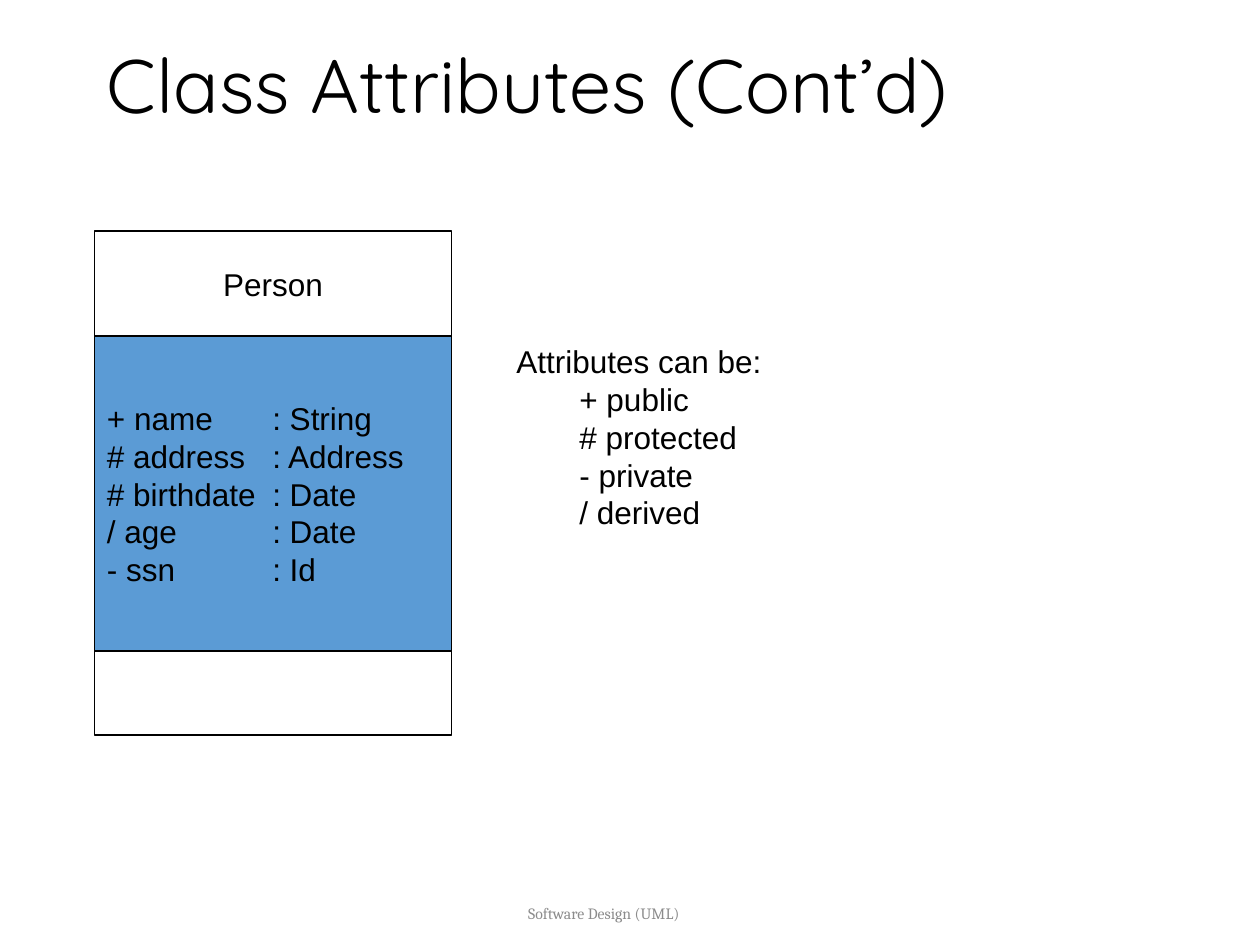
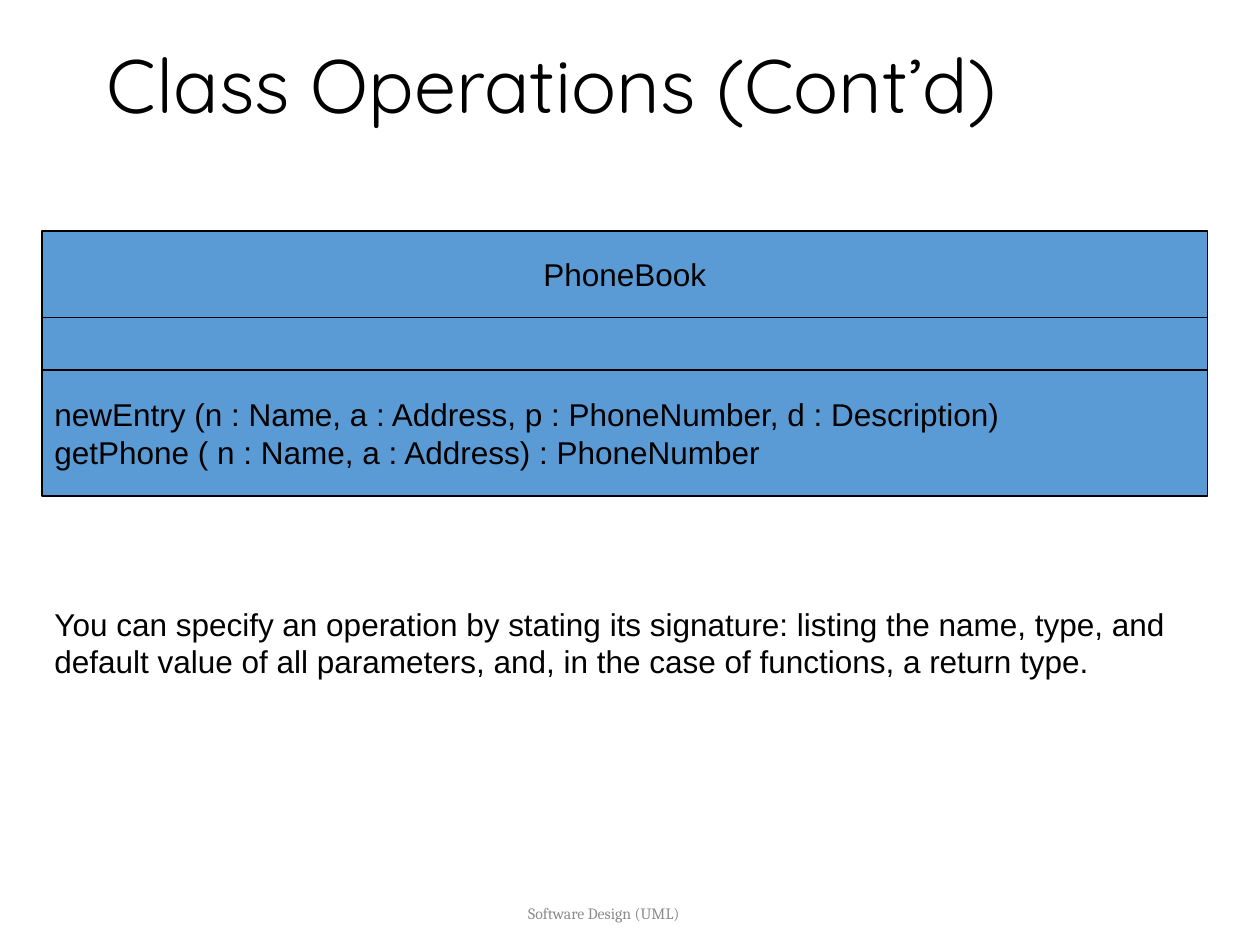
from lxml import etree
from pptx import Presentation, util as u
from pptx.dml.color import RGBColor
from pptx.enum import shapes, text
from pptx.oxml.ns import qn

Pt = u.Pt

# Content: class boxes list (height, fill, align, lines) from top to bottom
FOOTER = "Software Design (UML)"
SLIDES = [
    {
        "title": "Class Attributes (Cont’d)",
        "class": {
            "left": 54, "width": 204,
            "rows": [
                (60, "white", "center", ["Person"]),
                (180, "blue", "left", [
                    "+ name\t: String",
                    "# address\t: Address",
                    "# birthdate\t: Date",
                    "/ age\t: Date",
                    "- ssn\t: Id",
                ]),
                (48, "white", "left", []),
            ],
        },
        "note": {
            "box": (288, 192, 194, 151),
            "lines": ["Attributes can be:", "+ public", "# protected",
                      "- private", "/ derived"],
        },
    },
    {
        "title": "Class Operations (Cont’d)",
        "class": {
            "left": 24, "width": 666,
            "rows": [
                (49.5, "blue", "center", ["PhoneBook"]),
                (30, "blue", "left", []),
                (72, "blue", "left", [
                    "newEntry (n : Name, a : Address, p : PhoneNumber, "
                    "d : Description)",
                    "getPhone ( n : Name, a : Address) : PhoneNumber",
                ]),
            ],
        },
        "note": {
            "box": (24, 342, 660, 94),
            "lines": [
                "You can specify an operation by stating its signature: "
                "listing the name, type, and default value of all parameters, "
                "and, in the case of functions, a return type.",
            ],
        },
    },
]

# Shared look and places
THEME = {
    "color": {"white": "FFFFFF", "blue": "5B9BD5", "black": "000000",
              "gray": "8C8C8C"},
    "title": ("Quicksand", 43.2, "black"),
    "body": ("Arial", 18, "black"),
    "footer": ("Cambria", 9, "gray"),
    "line": 0.75,
}
TITLE_BOX = (54, 30, 618, 42)
FOOT_BOX = (186, 504, 318, 36)
CLASS_TOP = 132
TYPE_TAB = 94.5
INDENT = 36
ALIGN = {"left": text.PP_ALIGN.LEFT, "center": text.PP_ALIGN.CENTER}
MIDDLE = text.MSO_ANCHOR.MIDDLE


def color(name):
    return RGBColor.from_string(THEME["color"][name])


def write(shape, lines, style, align="left", anchor=MIDDLE):
    """Fill a shape with one paragraph a line, all in one style."""
    face, size, ink = THEME[style]
    frame = shape.text_frame
    frame.word_wrap = True
    frame.vertical_anchor = anchor
    frame.text = "\n".join(lines)
    for para in frame.paragraphs:
        para.alignment = ALIGN[align]
        for run in para.runs:
            run.font.name = face
            run.font.size = Pt(size)
            run.font.color.rgb = color(ink)
    return frame.paragraphs


def add_text(slide, box, *args, **opts):
    return write(slide.shapes.add_textbox(*map(Pt, box)), *args, **opts)


def add_tab(para, stop):
    tabs = etree.SubElement(para._p.get_or_add_pPr(), qn("a:tabLst"))
    etree.SubElement(tabs, qn("a:tab"), pos=str(Pt(stop)), algn="l")


def add_class(slide, left, width, rows):
    """Stack the parts of a class box."""
    top = CLASS_TOP
    for height, fill, align, lines in rows:
        part = slide.shapes.add_shape(
            shapes.MSO_SHAPE.RECTANGLE, *map(Pt, (left, top, width, height)))
        part.shadow.inherit = False
        part.fill.solid()
        part.fill.fore_color.rgb = color(fill)
        part.line.color.rgb = color("black")
        part.line.width = Pt(THEME["line"])
        for para in write(part, lines, "body", align):
            if "\t" in para.text:
                add_tab(para, TYPE_TAB)
        top += height


def add_note(slide, box, lines):
    """Place a note; lines after the first are indented."""
    paras = add_text(slide, box, lines, "body", anchor=text.MSO_ANCHOR.TOP)
    for para in paras[1:]:
        para._p.get_or_add_pPr().set("marL", str(Pt(INDENT)))


def main():
    deck = Presentation()
    deck.slide_width, deck.slide_height = Pt(720), Pt(540)
    for data in SLIDES:
        slide = deck.slides.add_slide(deck.slide_layouts[6])
        add_text(slide, FOOT_BOX, [FOOTER], "footer", "center")
        head = add_text(slide, TITLE_BOX, [data["title"]], "title")
        head[0].line_spacing = 0.9
        add_class(slide, **data["class"])
        add_note(slide, **data["note"])
    deck.save("out.pptx")


if __name__ == "__main__":
    main()
